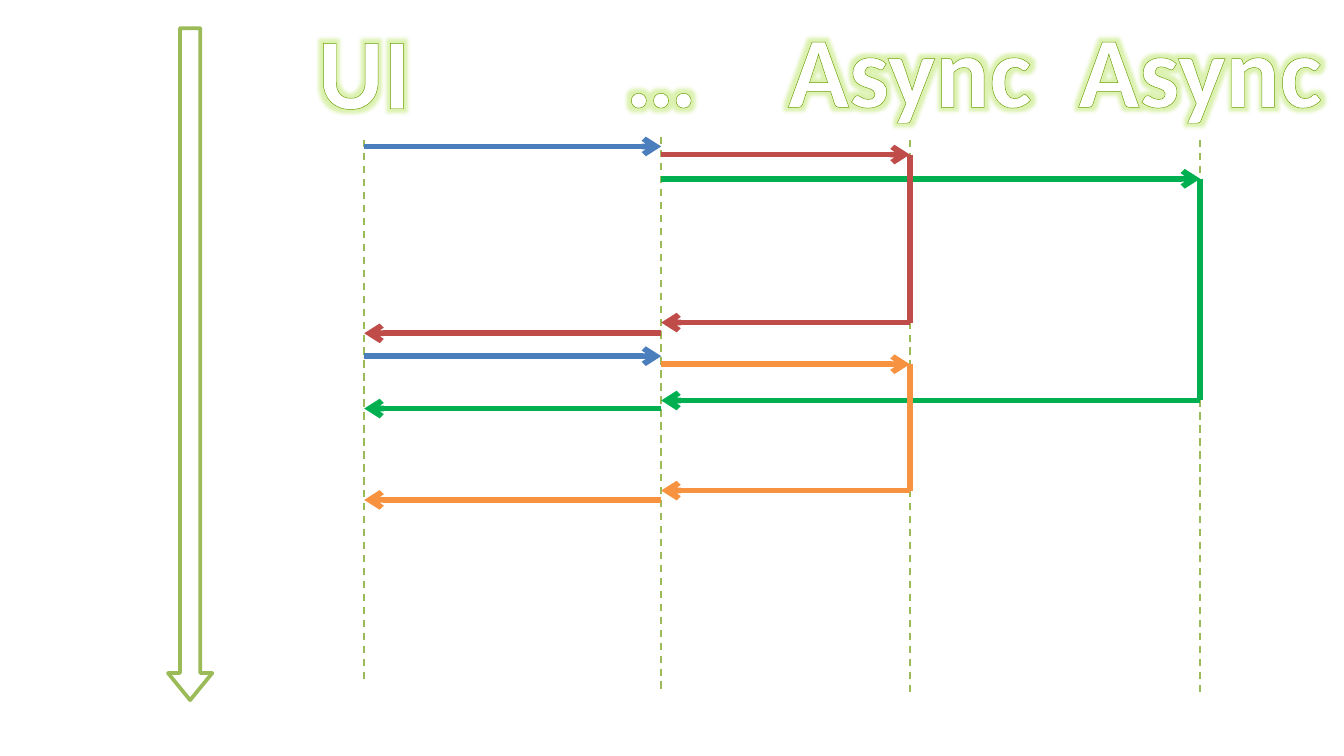
from dataclasses import dataclass

from lxml import etree
from pptx import Presentation
from pptx.dml.color import RGBColor
from pptx.enum.dml import MSO_LINE
from pptx.enum.shapes import MSO_CONNECTOR, MSO_SHAPE
from pptx.enum.text import MSO_ANCHOR, MSO_AUTO_SIZE, PP_ALIGN
from pptx.oxml import parse_xml
from pptx.oxml.ns import nsdecls, qn
from pptx.util import Inches, Pt

STRAIGHT = MSO_CONNECTOR.STRAIGHT
DOWN_ARROW = MSO_SHAPE.DOWN_ARROW
DASH = MSO_LINE.DASH
CENTER = PP_ALIGN.CENTER
TOP = MSO_ANCHOR.TOP
GROW = MSO_AUTO_SIZE.SHAPE_TO_FIT_TEXT


@dataclass(frozen=True)
class Theme:
    font: str = "Calibri"
    label_size: int = 54
    white: str = "FFFFFF"
    axis: str = "9BBB59"
    outline: str = "699F00"
    glow: str = "9BDA1D"
    request: str = "4B7EBC"
    first: str = "BF4C48"
    second: str = "00B050"
    third: str = "F69240"


class Diagram:
    def __init__(self, slide, theme):
        self.slide = slide
        self.theme = theme

    def line(self, start, end, color, width=3, dash=False, arrow=False):
        cxn = self.slide.shapes.add_connector(
            STRAIGHT, *(Inches(v) for v in (*start, *end)))
        cxn.line.color.rgb = RGBColor.from_string(color)
        cxn.line.width = Pt(width)
        if dash:
            cxn.line.dash_style = DASH
        if arrow:
            ln = cxn.line._get_or_add_ln()
            etree.SubElement(ln, qn("a:tailEnd"), type="arrow")
        etree.SubElement(cxn._element.spPr, qn("a:effectLst"))

    def lifeline(self, x, top, bottom):
        self.line((x, top), (x, bottom), self.theme.axis, width=1, dash=True)

    def message(self, x1, x2, y, color):
        self.line((x1, y), (x2, y), color, arrow=True)

    def time_arrow(self, left, top, width, height):
        sp = self.slide.shapes.add_shape(
            DOWN_ARROW, *(Inches(v) for v in (left, top, width, height)))
        sp.shadow.inherit = False
        sp.adjustments[0] = 0.46
        sp.adjustments[1] = 0.61
        sp.fill.solid()
        sp.fill.fore_color.rgb = RGBColor.from_string(self.theme.white)
        sp.line.color.rgb = RGBColor.from_string(self.theme.axis)
        sp.line.width = Pt(2)

    def label(self, text, center, top, width):
        theme = self.theme
        box = self.slide.shapes.add_textbox(
            Inches(center - width / 2), Inches(top), Inches(width), Inches(1.01))
        box.fill.solid()
        box.fill.fore_color.rgb = RGBColor.from_string(theme.white)
        tf = box.text_frame
        tf.word_wrap = False
        tf.auto_size = GROW
        tf.vertical_anchor = TOP
        p = tf.paragraphs[0]
        p.alignment = CENTER
        r = p.add_run()
        r.text = text
        r.font.name = theme.font
        r.font.size = Pt(theme.label_size)
        r.font.bold = True
        r.font.color.rgb = RGBColor.from_string(theme.white)
        self.outline_and_glow(r)

    def outline_and_glow(self, run):
        rPr = run.font._element
        rPr.insert(0, parse_xml(
            f'<a:ln {nsdecls("a")} w="{Pt(1)}"><a:solidFill>'
            f'<a:srgbClr val="{self.theme.outline}"/></a:solidFill></a:ln>'))
        rPr.find(qn("a:solidFill")).addnext(parse_xml(
            f'<a:effectLst {nsdecls("a")}><a:glow rad="{Pt(8)}">'
            f'<a:srgbClr val="{self.theme.glow}"><a:alpha val="35000"/>'
            '</a:srgbClr></a:glow></a:effectLst>'))


def main():
    prs = Presentation()
    prs.slide_width = Inches(10)
    prs.slide_height = Inches(10) * 9 // 16
    theme = Theme()
    s = Diagram(prs.slides.add_slide(prs.slide_layouts[6]), theme)

    ui, relay, async_1, async_2 = 2.71, 4.92, 6.77, 8.93

    s.time_arrow(1.25, 0.21, 0.33, 5)

    # name, x, lifeline top, lifeline bottom, label top, label width
    participants = [
        ("UI", ui, 0.56, 5.06, 0.01, 0.9),
        ("…", relay, 1.02, 5.15, 0, 0.74),
        ("Async", async_1, 0.56, 5.15, 0, 2.03),
        ("Async", async_2, 0.56, 5.15, 0, 2.03),
    ]
    for name, x, line_top, line_bottom, label_top, label_width in participants:
        s.lifeline(x, line_top, line_bottom)
        s.label(name, x, label_top, label_width)

    for y in (1.09, 2.65):
        s.message(ui, relay, y, theme.request)

    # worker, call sent, call finished, reply shown, color
    calls = [
        (async_2, 1.33, 2.98, 3.04, theme.second),
        (async_1, 2.71, 3.65, 3.72, theme.third),
        (async_1, 1.15, 2.4, 2.48, theme.first),
    ]
    for worker, sent, finished, shown, color in calls:
        s.message(relay, worker, sent, color)
        s.line((worker, sent), (worker, finished), color)
        s.message(worker, relay, finished, color)
        s.message(relay, ui, shown, color)

    prs.save("out.pptx")


if __name__ == "__main__":
    main()
